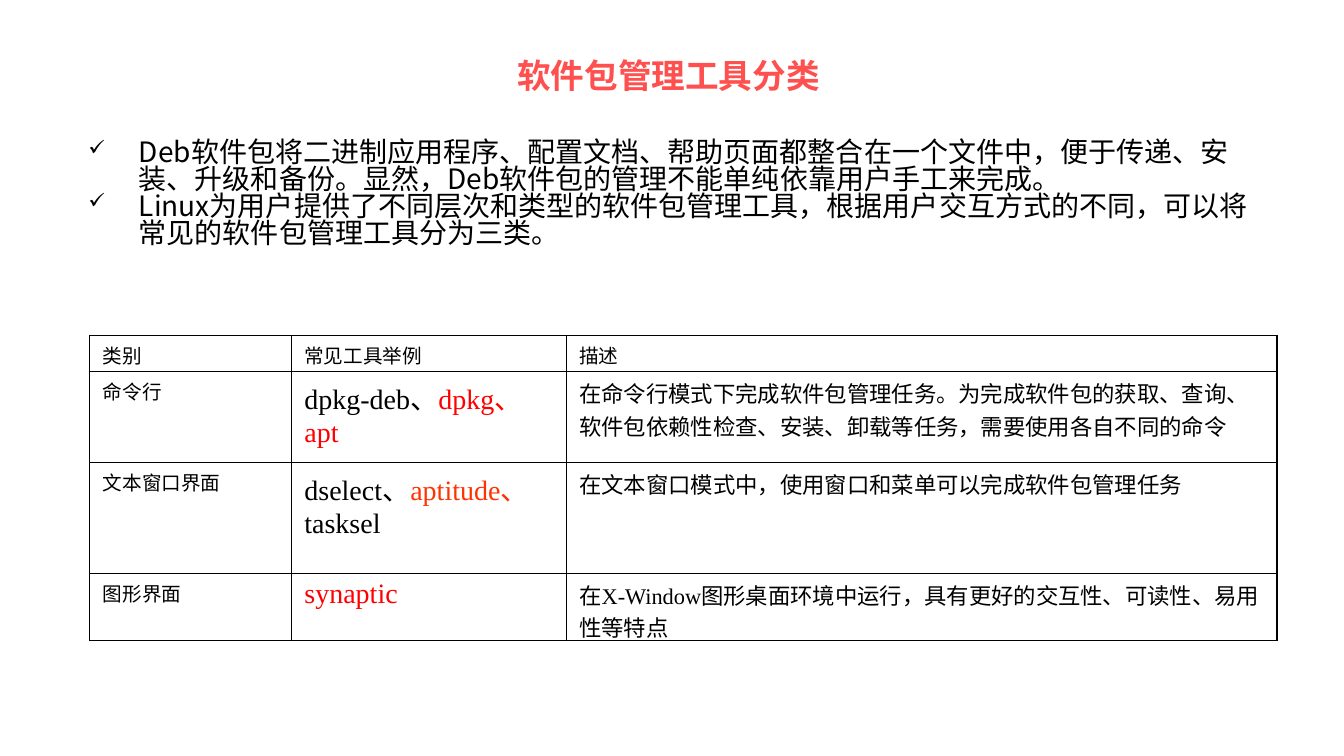
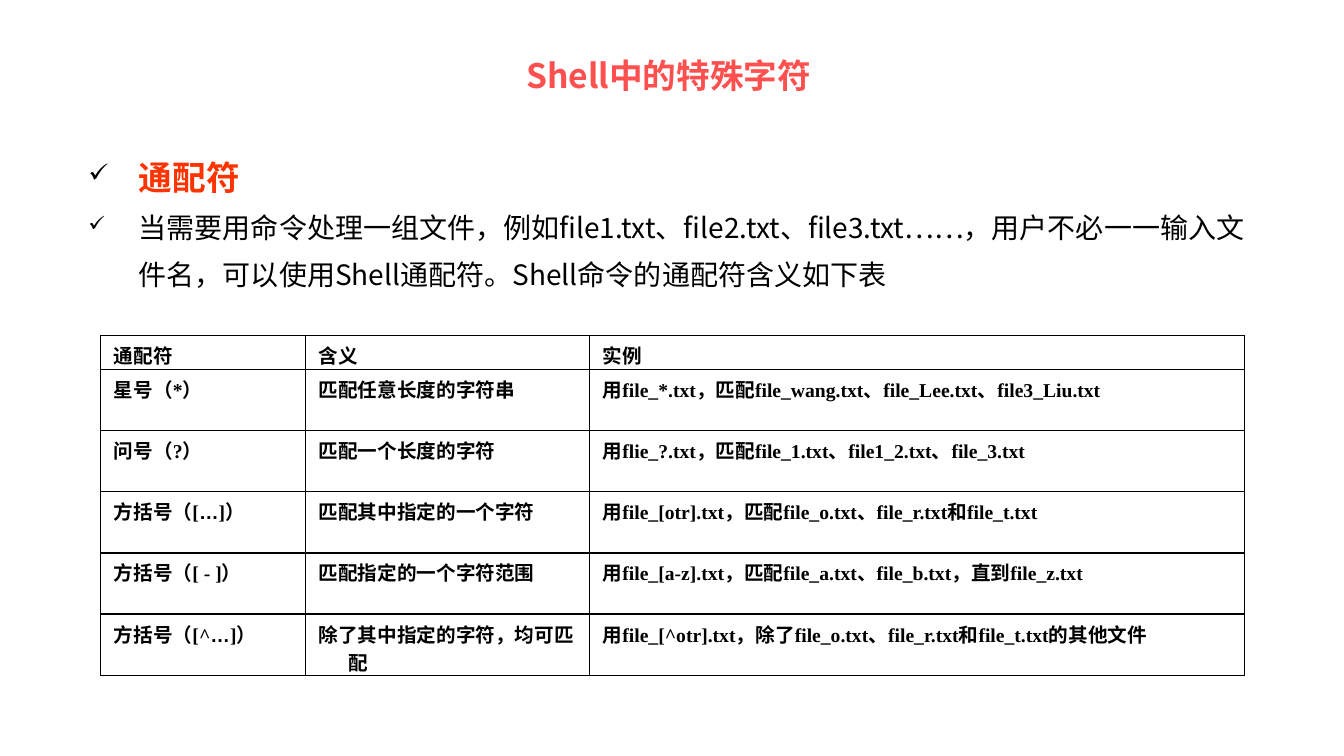
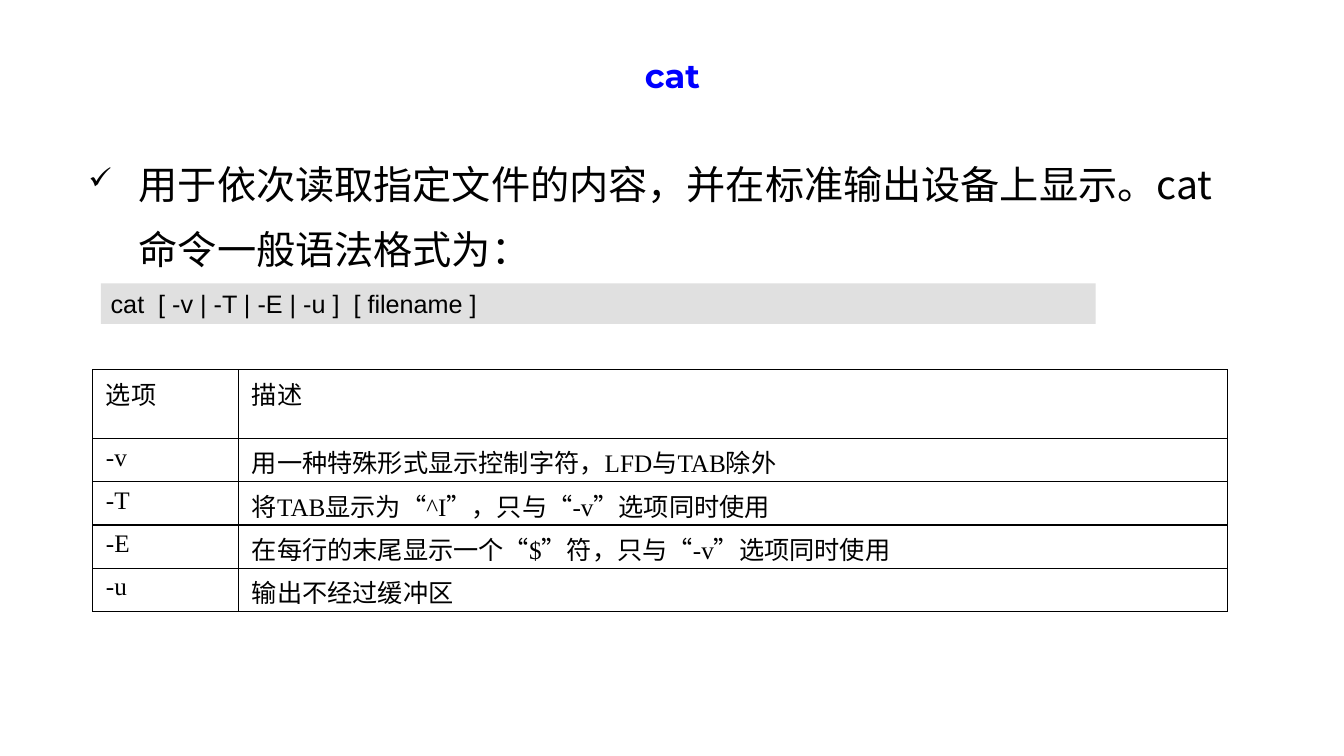
from dataclasses import dataclass

from lxml.etree import SubElement
from pptx import Presentation
from pptx.dml.color import RGBColor
from pptx.enum.shapes import MSO_SHAPE
from pptx.enum.text import MSO_ANCHOR, PP_ALIGN
from pptx.oxml.ns import qn
from pptx.util import Cm, Pt


@dataclass(frozen=True)
class Theme:
    black: str = "000000"
    coral: str = "FF5050"
    blue: str = "0000FF"
    red: str = "FF0000"
    orange: str = "FF3300"
    command_fill: str = "E0E0E0"
    heading_font: str = "Noto Sans CJK SC"
    command_title_font: str = "Montserrat"
    table_font: str = "Times New Roman"
    command_font: str = "Arial"
    title_size: int = 24
    body_size: int = 20
    large_size: int = 28
    command_size: int = 18
    tool_size: int = 20
    note_size: int = 16
    label_size: int = 14
    border: int = 1


THEME = Theme()


@dataclass(frozen=True)
class Span:
    """A stretch of cell text that differs in colour or font."""
    text: str
    color: str = ""
    font: str = ""


def style(font, name, size, color=THEME.black, bold=False):
    font.name = name
    font.size = Pt(size)
    font.bold = bold
    font.color.rgb = RGBColor.from_string(color)


def hang(paragraph, indent):
    """Indent a paragraph, with its first line hanging out."""
    properties = paragraph._p.get_or_add_pPr()
    properties.set("marL", str(Cm(indent)))
    properties.set("indent", str(-Cm(indent)))
    return properties


def add_titled_slide(deck, text, font=THEME.heading_font, color=THEME.coral):
    slide = deck.slides.add_slide(deck.slide_layouts[5])
    title = slide.shapes.title
    title.left, title.top, title.width, title.height = Cm(2.11), Cm(1.3), Cm(29.67), Cm(1.17)
    title.text_frame.text = text
    title.text_frame.vertical_anchor = MSO_ANCHOR.MIDDLE
    heading = title.text_frame.paragraphs[0]
    heading.alignment = PP_ALIGN.CENTER
    style(heading.font, font, THEME.title_size, color, True)
    return slide


def add_check_list(slide, items, line_spacing):
    """Add check-marked paragraphs; an item is text, size, colour, bold."""
    frame = slide.shapes.add_textbox(Cm(1.98), Cm(3.43), Cm(29.8), Cm(12.45)).text_frame
    frame.word_wrap = True
    for index, (text, size, color, bold) in enumerate(items):
        paragraph = frame.add_paragraph() if index else frame.paragraphs[0]
        paragraph.text = text
        properties = hang(paragraph, 1.27)
        bullet_color = SubElement(properties, qn("a:buClr"))
        SubElement(bullet_color, qn("a:srgbClr"), val=THEME.black)
        SubElement(properties, qn("a:buSzPct"), val="76000")
        SubElement(properties, qn("a:buChar"), char="✓")
        paragraph.line_spacing = line_spacing
        style(paragraph.font, THEME.heading_font, size, color, bold)


def add_borders(cell):
    properties = cell._tc.get_or_add_tcPr()
    for position, side in enumerate(("lnL", "lnR", "lnT", "lnB")):
        line = properties.makeelement(qn(f"a:{side}"), {"w": str(Pt(THEME.border))})
        fill = SubElement(line, qn("a:solidFill"))
        SubElement(fill, qn("a:srgbClr"), val=THEME.black)
        properties.insert(position, line)


def fill_cell(cell, content, size, bold, indent):
    cell.fill.background()
    add_borders(cell)
    cell.margin_left = cell.margin_right = Cm(0.33)
    cell.margin_top = cell.margin_bottom = Cm(0.13)
    paragraph = cell.text_frame.paragraphs[0]
    if indent:
        hang(paragraph, indent)
    style(paragraph.font, THEME.table_font, size, bold=bold)
    for span in [Span(content)] if isinstance(content, str) else content:
        run = paragraph.add_run()
        run.text = span.text
        if span.color:
            run.font.color.rgb = RGBColor.from_string(span.color)
        if span.font:
            run.font.name = span.font


def add_grid(slide, left, top, widths, heights, rows, header_size, sizes, bold=False, indent=0.0):
    """Add a ruled table; sizes gives the type size of each body column."""
    table = slide.shapes.add_table(
        len(rows), len(widths), Cm(left), Cm(top), Cm(sum(widths)), Cm(sum(heights))
    ).table
    table.first_row = table.horz_banding = False
    for column, width in zip(table.columns, widths):
        column.width = Cm(width)
    for row, height in zip(table.rows, heights):
        row.height = Cm(height)
    for r, row in enumerate(rows):
        for c, content in enumerate(row):
            fill_cell(table.cell(r, c), content, sizes[c] if r else header_size, bold, indent)


def add_command_bar(slide, command):
    bar = slide.shapes.add_shape(MSO_SHAPE.RECTANGLE, Cm(2.54), Cm(7.14), Cm(25.07), Cm(1.02))
    bar.shadow.inherit = False
    bar.fill.solid()
    bar.fill.fore_color.rgb = RGBColor.from_string(THEME.command_fill)
    bar.line.fill.background()
    bar.text_frame.text = command
    bar.text_frame.vertical_anchor = MSO_ANCHOR.MIDDLE
    paragraph = bar.text_frame.paragraphs[0]
    paragraph.alignment = PP_ALIGN.LEFT
    style(paragraph.font, THEME.command_font, THEME.command_size)


def add_package_tools(deck):
    slide = add_titled_slide(deck, "软件包管理工具分类 ")
    add_check_list(slide, [
        ("Deb软件包将二进制应用程序、配置文档、帮助页面都整合在一个文件中，便于传递、安装、升级和备份。"
         "显然，Deb软件包的管理不能单纯依靠用户手工来完成。", THEME.body_size, THEME.black, False),
        ("Linux为用户提供了不同层次和类型的软件包管理工具，根据用户交互方式的不同，"
         "可以将常见的软件包管理工具分为三类。", THEME.body_size, THEME.black, False),
    ], 0.8)
    rows = [
        ("类别", "常见工具举例", "描述"),
        ("命令行", [Span("dpkg-deb、"), Span("dpkg、apt", THEME.red)],
         "在命令行模式下完成软件包管理任务。为完成软件包的获取、查询、软件包依赖性检查、安装、卸载等任务，"
         "需要使用各自不同的命令"),
        ("文本窗口界面", [Span("dselect、"), Span("aptitude、", THEME.orange), Span("tasksel")],
         "在文本窗口模式中，使用窗口和菜单可以完成软件包管理任务"),
        ("图形界面", [Span("synaptic", THEME.red)],
         "在X-Window图形桌面环境中运行，具有更好的交互性、可读性、易用性等特点"),
    ]
    add_grid(slide, 2.26, 8.46, (5.08, 6.93, 17.91), (0.91, 2.29, 2.79, 1.68), rows,
             THEME.label_size, (THEME.label_size, THEME.tool_size, THEME.note_size))


def add_wildcards(deck):
    slide = add_titled_slide(deck, "Shell中的特殊字符 ")
    add_check_list(slide, [
        ("通配符", THEME.title_size, THEME.orange, True),
        ("当需要用命令处理一组文件，例如file1.txt、file2.txt、file3.txt……，用户不必一一输入文件名，"
         "可以使用Shell通配符。Shell命令的通配符含义如下表", THEME.body_size, THEME.black, False),
    ], 1.4)
    ellipsis = Span("…", font=THEME.command_font)
    rows = [
        ("通配符", "含义", "实例"),
        ("星号（*）", "匹配任意长度的字符串",
         "用file_*.txt，匹配file_wang.txt、file_Lee.txt、file3_Liu.txt"),
        ("问号（?）", "匹配一个长度的字符",
         "用flie_?.txt，匹配file_1.txt、file1_2.txt、file_3.txt"),
        ([Span("方括号（["), ellipsis, Span("]）")], "匹配其中指定的一个字符",
         "用file_[otr].txt，匹配file_o.txt、file_r.txt和file_t.txt"),
        ("方括号（[ - ]）", "匹配指定的一个字符范围",
         "用file_[a-z].txt，匹配file_a.txt、file_b.txt，直到file_z.txt"),
        ([Span("方括号（[^"), ellipsis, Span("]）")], "除了其中指定的字符，均可匹配",
         "用file_[^otr].txt，除了file_o.txt、file_r.txt和file_t.txt的其他文件"),
    ]
    add_grid(slide, 2.54, 8.46, (5.16, 7.16, 16.51), (0.84,) + (1.54,) * 5, rows,
             THEME.label_size, (THEME.label_size,) * 3, bold=True, indent=0.76)


def add_cat_command(deck):
    slide = add_titled_slide(deck, "cat", THEME.command_title_font, THEME.blue)
    add_check_list(slide, [
        ("用于依次读取指定文件的内容，并在标准输出设备上显示。cat命令一般语法格式为：",
         THEME.large_size, THEME.black, False),
    ], 1.4)
    rows = [
        ("选项", "描述"),
        ("-v", "用一种特殊形式显示控制字符，LFD与TAB除外"),
        ("-T", "将TAB显示为“^I”，只与“-v”选项同时使用"),
        ("-E", "在每行的末尾显示一个“$”符，只与“-v”选项同时使用"),
        ("-u", "输出不经过缓冲区"),
    ]
    add_grid(slide, 2.34, 9.32, (3.68, 24.92), (1.73,) + (1.09,) * 4, rows,
             THEME.command_size, (THEME.command_size,) * 2, indent=0.76)
    add_command_bar(slide, "cat  [ -v | -T | -E | -u ]  [ filename ]")


def main():
    deck = Presentation()
    deck.slide_width, deck.slide_height = Cm(33.87), Cm(19.05)
    add_package_tools(deck)
    add_wildcards(deck)
    add_cat_command(deck)
    deck.save("out.pptx")


if __name__ == "__main__":
    main()
